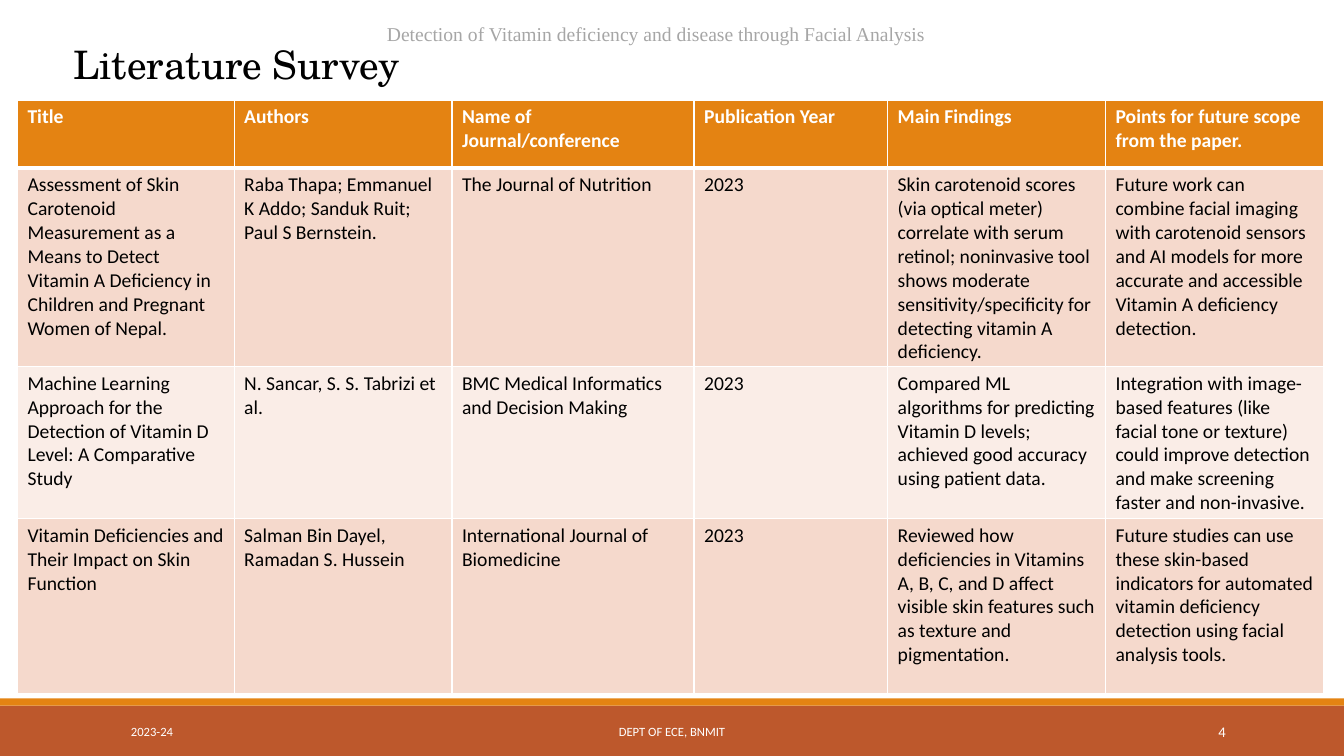
"""Build a literature survey slide with a table of three papers."""
import pptx
import pptx.dml.color
import pptx.enum.shapes
import pptx.enum.text
import pptx.util
from lxml import etree

Cm = pptx.util.Cm
RGBColor = pptx.dml.color.RGBColor
ALIGN = pptx.enum.text.PP_ALIGN
ANCHOR = pptx.enum.text.MSO_ANCHOR
FIT = pptx.enum.text.MSO_AUTO_SIZE

WHITE = RGBColor(0xFF, 0xFF, 0xFF)
BLACK = RGBColor(0x00, 0x00, 0x00)
GREY = RGBColor(0xA6, 0xA6, 0xA6)
ORANGE = RGBColor(0xE4, 0x83, 0x12)
RUST = RGBColor(0xBD, 0x58, 0x2C)
DARK_BAND = RGBColor(0xF5, 0xD9, 0xCC)
LIGHT_BAND = RGBColor(0xFA, 0xED, 0xE7)

NAMESPACE = "{http://schemas.openxmlformats.org/drawingml/2006/main}"


def write(frame, text, size=14, font="Calibri", color=WHITE, bold=False,
          align=ALIGN.LEFT, anchor=ANCHOR.TOP):
    """Put one formatted paragraph into a text frame."""
    frame.vertical_anchor = anchor
    para = frame.paragraphs[0]
    para.alignment = align
    span = para.add_run()
    span.text = text
    span.font.size = pptx.util.Pt(size)
    span.font.name = font
    span.font.bold = bold
    span.font.color.rgb = color


def add_borders(cell, top, bottom):
    """Give a table cell white borders, with top and bottom widths in points."""
    properties = cell._tc.get_or_add_tcPr()
    for side, width in (("L", 1), ("R", 1), ("T", top), ("B", bottom)):
        line = etree.SubElement(properties, f"{NAMESPACE}ln{side}", w=str(pptx.util.Pt(width)))
        fill = etree.SubElement(line, f"{NAMESPACE}solidFill")
        etree.SubElement(fill, f"{NAMESPACE}srgbClr", val=str(WHITE))


deck = pptx.Presentation()
deck.slide_width = Cm(33.87)
deck.slide_height = Cm(19.05)
page = deck.slides.add_slide(deck.slide_layouts[5])

for top, height, color in ((17.78, 1.27, RUST), (17.6, 0.18, ORANGE)):
    band = page.shapes.add_shape(pptx.enum.shapes.MSO_SHAPE.RECTANGLE,
                                 0, Cm(top), deck.slide_width, Cm(height))
    band.shadow.inherit = False
    band.fill.solid()
    band.fill.fore_color.rgb = color
    band.line.fill.background()

footers = (
    ("2023-24", 3.05, 6.86, 9, ALIGN.LEFT),
    ("DEPT OF ECE, BNMIT", 10.24, 13.39, 9, ALIGN.CENTER),
    ("4", 27.51, 3.63, 10.5, ALIGN.RIGHT),
)
for text, left, width, size, align in footers:
    box = page.shapes.add_textbox(Cm(left), Cm(17.93), Cm(width), Cm(1.02))
    box.text_frame.word_wrap = True
    write(box.text_frame, text, size=size, align=align, anchor=ANCHOR.MIDDLE)

title = page.shapes.title
title.left, title.top, title.width, title.height = Cm(1.6), Cm(0.89), Cm(26.42), Cm(1.45)
title.text_frame.auto_size = FIT.NONE
write(title.text_frame, "Literature Survey", size=28, font="TeX Gyre Schola", color=BLACK)

topic = page.shapes.add_textbox(Cm(9.5), Cm(0.43), Cm(14.2), Cm(0.86))
topic.text_frame.word_wrap = False
topic.text_frame.auto_size = FIT.SHAPE_TO_FIT_TEXT
write(topic.text_frame, "Detection of Vitamin deficiency and disease through Facial Analysis",
      font="Times New Roman", color=GREY)

survey = (
    ("Title", "Authors", "Name of Journal/conference", "Publication Year",
     "Main Findings", "Points for future scope from the paper."),
    ("Assessment of Skin Carotenoid Measurement as a Means to Detect Vitamin A Deficiency "
     "in Children and Pregnant Women of Nepal.",
     "Raba Thapa; Emmanuel K Addo; Sanduk Ruit; Paul S Bernstein.",
     "The Journal of Nutrition", "2023",
     "Skin carotenoid scores (via optical meter) correlate with serum retinol; noninvasive "
     "tool shows moderate sensitivity/specificity for detecting vitamin A deficiency.",
     "Future work can combine facial imaging with carotenoid sensors and AI models for more "
     "accurate and accessible Vitamin A deficiency detection."),
    ("Machine Learning Approach for the Detection of Vitamin D Level: A Comparative Study",
     "N. Sancar, S. S. Tabrizi et al.",
     "BMC Medical Informatics and Decision Making", "2023",
     "Compared ML algorithms for predicting Vitamin D levels; achieved good accuracy using "
     "patient data.",
     "Integration with image-based features (like facial tone or texture) could improve "
     "detection and make screening faster and non-invasive."),
    ("Vitamin Deficiencies and Their Impact on Skin Function",
     "Salman Bin Dayel, Ramadan S. Hussein",
     "International Journal of Biomedicine", "2023",
     "Reviewed how deficiencies in Vitamins A, B, C, and D affect visible skin features such "
     "as texture and pigmentation.",
     "Future studies can use these skin-based indicators for automated vitamin deficiency "
     "detection using facial analysis tools."),
)
column_widths = (5.46, 5.49, 6.1, 4.88, 5.49, 5.49)
row_heights = (1.72, 4.98, 3.83, 4.4)
row_fills = (ORANGE, DARK_BAND, LIGHT_BAND, DARK_BAND)

table = page.shapes.add_table(len(survey), len(column_widths), Cm(0.44), Cm(2.52),
                              Cm(sum(column_widths)), Cm(sum(row_heights))).table
for column, width in zip(table.columns, column_widths):
    column.width = Cm(width)
for index, (row, height, texts) in enumerate(zip(table.rows, row_heights, survey)):
    row.height = Cm(height)
    is_header = index == 0
    for cell, text in zip(row.cells, texts):
        add_borders(cell, top=3 if index == 1 else 1, bottom=3 if is_header else 1)
        cell.fill.solid()
        cell.fill.fore_color.rgb = row_fills[index]
        write(cell.text_frame, text, color=WHITE if is_header else BLACK, bold=is_header)

deck.save("out.pptx")
